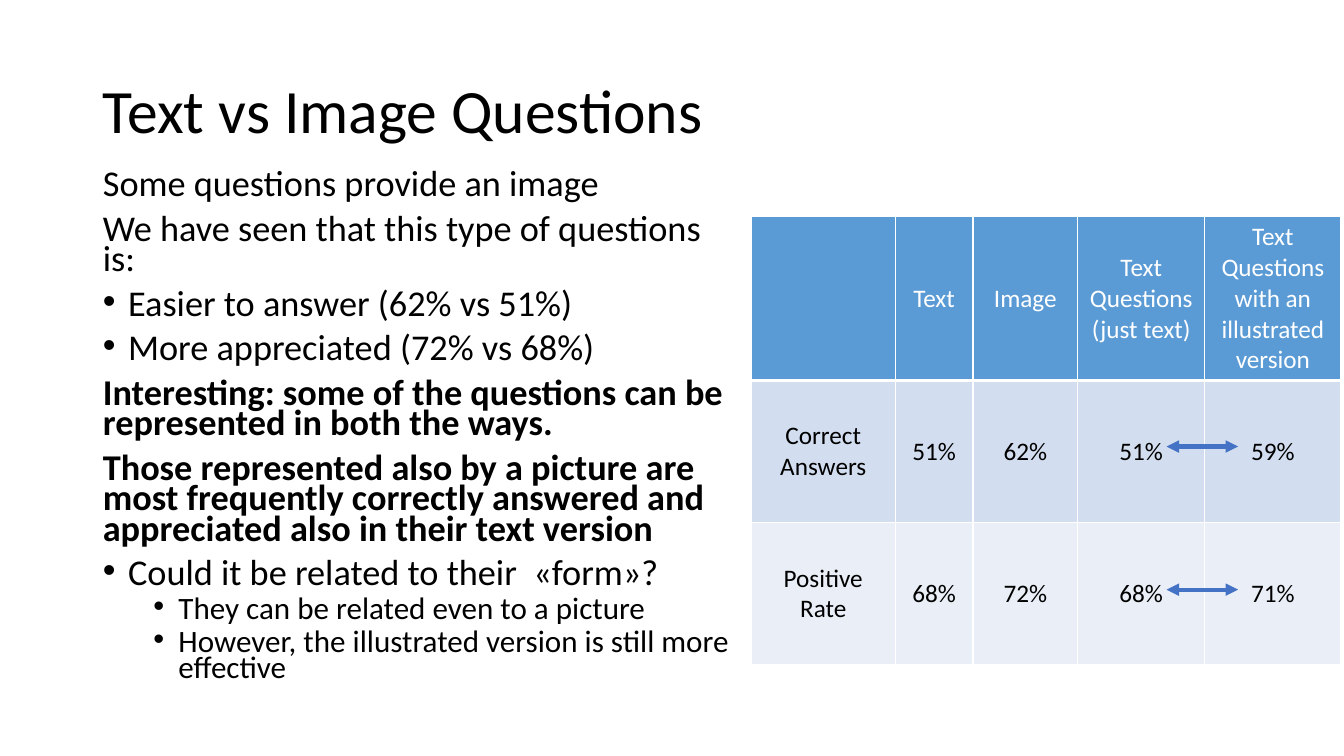
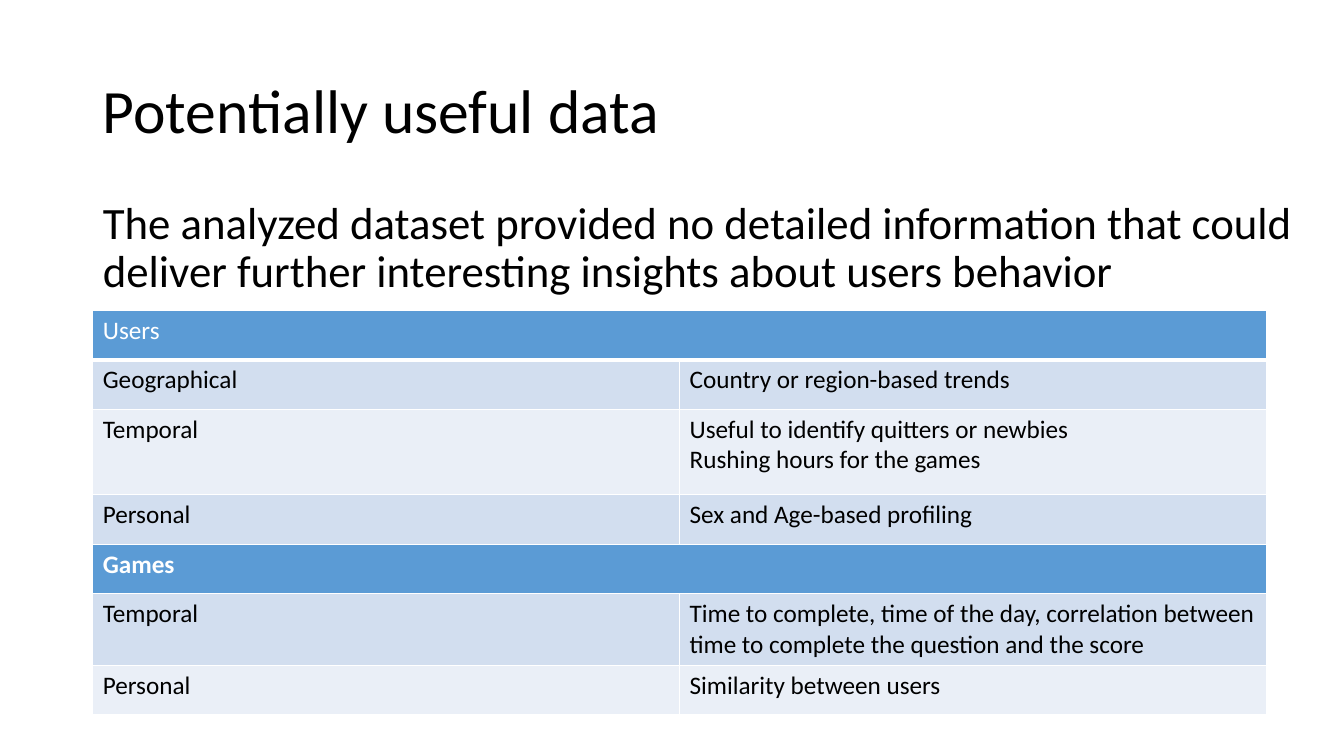
import pptx
import pptx.util
import pptx.dml.color
import pptx.enum.shapes
import pptx.enum.text
import pptx.oxml
import pptx.oxml.ns
from lxml import etree

Inches, Pt = pptx.util.Inches, pptx.util.Pt
RGBColor = pptx.dml.color.RGBColor
PP_ALIGN, MSO_ANCHOR = pptx.enum.text.PP_ALIGN, pptx.enum.text.MSO_ANCHOR
qn = pptx.oxml.ns.qn

# Shared look
FONT = "Calibri"
BLACK, WHITE = RGBColor(0, 0, 0), RGBColor(0xFF, 0xFF, 0xFF)
HEADER_BLUE = RGBColor(0x5B, 0x9B, 0xD5)
BAND_DARK, BAND_LIGHT = RGBColor(0xD2, 0xDE, 0xEF), RGBColor(0xEA, 0xEF, 0xF7)
ARROW_BLUE = RGBColor(0x44, 0x72, 0xC4)
MARGIN_LEFT = 0.92
TITLE_BOX = (MARGIN_LEFT, 0.4, 11.5, 1.45)

# Content: each body line is (style, text)
QUESTIONS_TITLE = "Text vs Image Questions"
QUESTIONS_BODY = [
    ("plain", "Some questions provide an image"),
    ("plain", "We have seen that this type of questions is:"),
    ("bullet", "Easier to answer (62% vs 51%)"),
    ("bullet", "More appreciated (72% vs 68%)"),
    ("strong", "Interesting: some of the questions can be represented in both the ways."),
    ("strong", "Those represented also by a picture are most frequently correctly "
               "answered and appreciated also in their text version"),
    ("bullet", "Could it be related to their  «form»?"),
    ("sub", "They can be related even to a picture"),
    ("sub", "However, the illustrated version is still more effective"),
]
RATES = [
    ("", "Text", "Image", "Text Questions (just text)",
     "Text Questions with an illustrated version"),
    ("Correct Answers", "51%", "62%", "51%", "59%"),
    ("Positive Rate", "68%", "72%", "68%", "71%"),
]
DATA_TITLE = "Potentially useful data"
DATA_BODY = [("plain", "The analyzed dataset provided no detailed information that could "
                       "deliver further interesting insights about users behavior")]
# A row with one entry is a section heading across the table
USEFUL_DATA = [
    ("Users",),
    ("Geographical", "Country or region-based trends"),
    ("Temporal", "Useful to identify quitters or newbies\nRushing hours for the games"),
    ("Personal", "Sex and Age-based profiling"),
    ("Games",),
    ("Temporal", "Time to complete, time of the day, correlation between time to "
                 "complete the question and the score"),
    ("Personal", "Similarity between users"),
]

# Style: left indent, hanging indent, level, space before, size factor
LINE_STYLES = {
    "plain": (0, 0, 0, 10, 1),
    "strong": (0, 0, 0, 10, 1),
    "bullet": (0.25, -0.25, 0, 10, 1),
    "sub": (0.75, -0.25, 1, 5, 6 / 7),
}


def add_run(paragraph, text, size, color=BLACK, bold=False):
    run = paragraph.add_run()
    run.text = text
    run.font.name, run.font.size = FONT, Pt(size)
    run.font.bold, run.font.color.rgb = bold, color


def place(holder, box, anchor):
    holder.left, holder.top, holder.width, holder.height = map(Inches, box)
    frame = holder.text_frame
    frame.word_wrap = True
    frame.auto_size = pptx.enum.text.MSO_AUTO_SIZE.NONE
    frame.vertical_anchor = anchor
    return frame


def add_slide(deck, title, body, body_box, size, spacing, anchor):
    slide = deck.slides.add_slide(deck.slide_layouts[1])
    heading = place(slide.shapes.title, TITLE_BOX, MSO_ANCHOR.MIDDLE).paragraphs[0]
    heading.alignment, heading.line_spacing = PP_ALIGN.LEFT, 0.9
    add_run(heading, title, 44)

    frame = place(slide.placeholders[1], body_box, anchor)
    for number, (style, text) in enumerate(body):
        paragraph = frame.add_paragraph() if number else frame.paragraphs[0]
        left, hanging, level, before, factor = LINE_STYLES[style]
        paragraph.level, paragraph.line_spacing = level, spacing
        paragraph.space_before = Pt(before)
        props = paragraph._p.get_or_add_pPr()
        props.set("marL", str(Inches(left)))
        props.set("indent", str(Inches(hanging)))
        if hanging:
            etree.SubElement(props, qn("a:buFont")).set("typeface", "Arial")
            etree.SubElement(props, qn("a:buChar")).set("char", "•")
        else:
            etree.SubElement(props, qn("a:buNone"))
        add_run(paragraph, text, round(size * factor, 1), bold=style == "strong")
    return slide


def set_borders(cell, bottom):
    props = cell._tc.get_or_add_tcPr()
    widths = {"a:lnL": 1, "a:lnR": 1, "a:lnT": 1, "a:lnB": bottom}
    for position, (side, width) in enumerate(widths.items()):
        line = etree.Element(qn(side), w=str(Pt(width)))
        fill = etree.SubElement(line, qn("a:solidFill"))
        etree.SubElement(fill, qn("a:srgbClr")).set("val", str(WHITE))
        props.insert(position, line)


def add_data_table(slide, rows, left, top, widths, heights, centred=False):
    table = slide.shapes.add_table(
        len(rows), len(widths), Inches(left), Inches(top),
        Inches(sum(widths)), Inches(sum(heights))).table
    for column, width in zip(table.columns, widths):
        column.width = Inches(width)
    band = 0
    for r, (entries, height) in enumerate(zip(rows, heights)):
        table.rows[r].height = Inches(height)
        section = len(entries) == 1
        header = section or r == 0
        band = 0 if header else band + 1
        fill = HEADER_BLUE if header else (BAND_DARK if band % 2 else BAND_LIGHT)
        for c in range(len(widths)):
            cell = table.cell(r, c)
            cell.fill.solid()
            cell.fill.fore_color.rgb = fill
            set_borders(cell, 3 if r == 0 else 1)
        if section:
            table.cell(r, 0).merge(table.cell(r, len(widths) - 1))
        for c, entry in enumerate(entries):
            cell = table.cell(r, c)
            cell.vertical_anchor = MSO_ANCHOR.MIDDLE if centred else MSO_ANCHOR.TOP
            for number, text in enumerate(entry.split("\n") if entry else []):
                frame = cell.text_frame
                paragraph = frame.add_paragraph() if number else frame.paragraphs[0]
                paragraph.alignment = PP_ALIGN.CENTER if centred else PP_ALIGN.LEFT
                add_run(paragraph, text, 18, WHITE if header else BLACK,
                        bold=section and r > 0)


def add_double_arrow(slide, start, end, y):
    arrow = slide.shapes.add_connector(
        pptx.enum.shapes.MSO_CONNECTOR.STRAIGHT,
        Inches(start), Inches(y), Inches(end), Inches(y))
    arrow.line.color.rgb, arrow.line.width = ARROW_BLUE, Pt(3)
    line = arrow.line._get_or_add_ln()
    for tip in ("a:headEnd", "a:tailEnd"):
        etree.SubElement(line, qn(tip)).set("type", "triangle")
    etree.SubElement(arrow._element.spPr, qn("a:effectLst"))


def main():
    deck = pptx.Presentation()
    deck.slide_width, deck.slide_height = Inches(13.33), Inches(7.5)

    # Text and image questions, with arrows between the paired rates
    questions = add_slide(deck, QUESTIONS_TITLE, QUESTIONS_BODY,
                          (MARGIN_LEFT, 1.66, 6.53, 5.4), 25.9, 0.7, MSO_ANCHOR.TOP)
    add_data_table(questions, RATES, 7.45, 2.15,
                   [1.43, 0.77, 1.04, 1.26, 1.35], [1.6, 1.41, 1.41], centred=True)
    for row in range(len(RATES) - 1):
        add_double_arrow(questions, 11.57, 12.28, 4.43 + 1.42 * row)

    # Data that would be useful
    data = add_slide(deck, DATA_TITLE, DATA_BODY,
                     (MARGIN_LEFT, 2, 12.03, 0.94), 32, 0.9, MSO_ANCHOR.MIDDLE)
    heights = [0.85 if "\n" in row[-1] else 0.49 for row in USEFUL_DATA]
    add_data_table(data, USEFUL_DATA, MARGIN_LEFT, 3.08, [5.82, 5.82], heights)

    deck.save("out.pptx")


if __name__ == "__main__":
    main()
